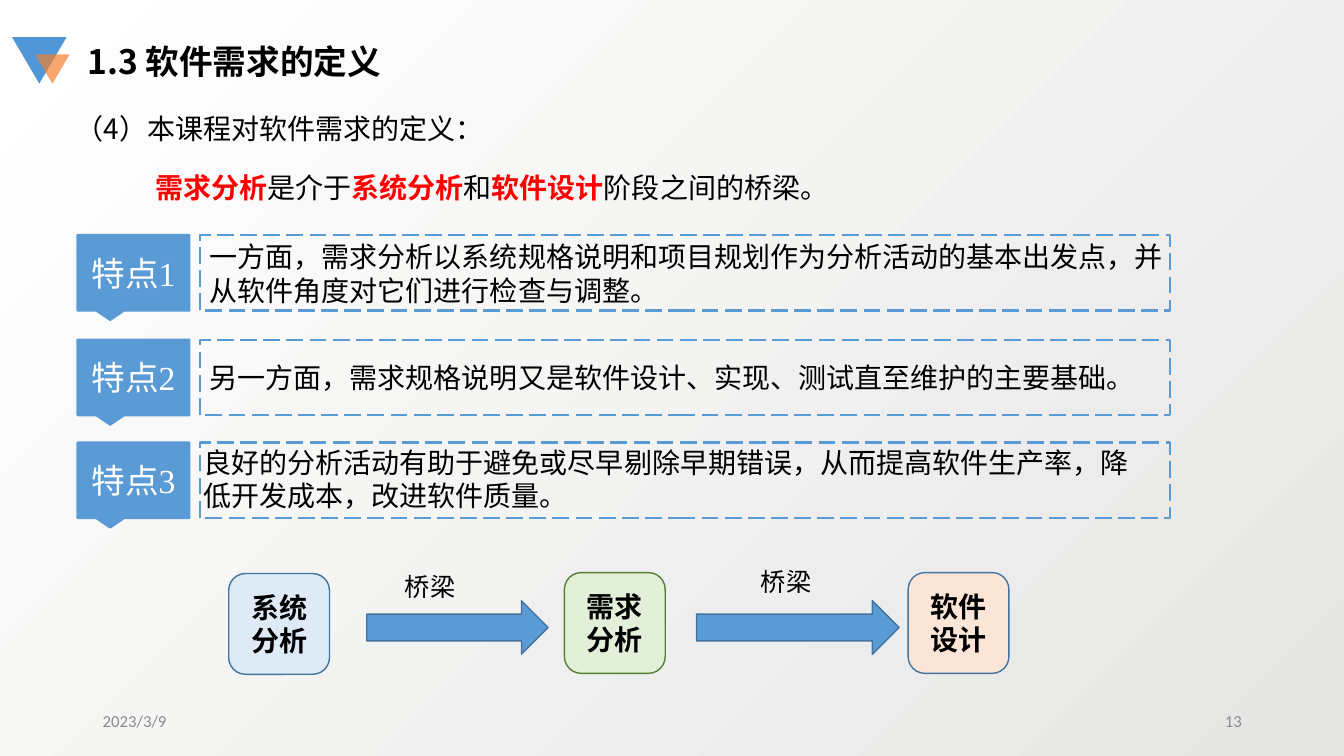
from lxml.etree import SubElement
from pptx import Presentation
from pptx.dml.color import RGBColor
from pptx.enum.dml import MSO_LINE
from pptx.enum.shapes import MSO_SHAPE
from pptx.enum.text import MSO_ANCHOR, MSO_AUTO_SIZE, PP_ALIGN
from pptx.oxml.ns import qn
from pptx.util import Pt

COLORS = {
    "black": "000000", "white": "FFFFFF", "red": "FF0000", "gray": "8C8C8C",
    "shade": "E6E6E5", "blue": "5B9BD5", "navy": "43739E", "green": "538035",
    "logo": "5197D7", "orange": "F37D2A",
    "sky": "DEEBF7", "mint": "E2F0D9", "peach": "FBE5D6",
}
SANS = "Noto Sans CJK SC"
LATIN = "Calibri"
SERIF = "Times New Roman"


def tint(name):
    return RGBColor.from_string(COLORS[name])


class Deck:
    def __init__(self, width, height):
        self.prs = Presentation()
        self.prs.slide_width, self.prs.slide_height = Pt(width), Pt(height)
        self.slide = self.prs.slides.add_slide(self.prs.slide_layouts[1])

    def back(self, start, end, angle):
        fill = self.slide.background.fill
        fill.gradient()
        fill.gradient_angle = angle
        for stop, name in zip(fill.gradient_stops, (start, end)):
            stop.color.rgb = tint(name)

    def face(self, run, size, color="black", bold=False, font=LATIN):
        run.font.size, run.font.bold, run.font.name = Pt(size), bold, font
        run.font.color.rgb = tint(color)
        east = SubElement(run.font._element, qn("a:ea"))
        east.set("typeface", SANS)

    def words(self, shape, text, size, align=PP_ALIGN.LEFT,
              anchor=MSO_ANCHOR.TOP, wrap=True, **style):
        frame = shape.text_frame
        frame.text = text
        frame.word_wrap, frame.vertical_anchor = wrap, anchor
        frame.auto_size = MSO_AUTO_SIZE.NONE
        para = frame.paragraphs[0]
        para.alignment = align
        self.face(para.runs[0], size, **style)
        return para

    def holder(self, index, box, text, size, **style):
        shape = self.slide.placeholders[index]
        shape.left, shape.top, shape.width, shape.height = map(Pt, box)
        para = self.words(shape, text, size, font=SANS, **style)
        props = para._p.get_or_add_pPr()
        props.set("marL", "0")
        props.set("indent", "0")
        SubElement(props, qn("a:buNone"))
        para.space_before = Pt(0)
        return para

    def label(self, box, text, size, **style):
        shape = self.slide.shapes.add_textbox(*map(Pt, box))
        return self.words(shape, text, size, **style)

    def mixed(self, box, parts, size):
        """Sentence whose parts alternate between red bold and plain."""
        para = self.label(box, parts[0], size, color="red", bold=True)
        for place, part in enumerate(parts[1:], 1):
            run = para.add_run()
            run.text = part
            key = place % 2 == 0
            self.face(run, size, "red" if key else "black", key)

    def shape(self, kind, box, fill=None, line=None, weight=1.0, dash=None):
        item = self.slide.shapes.add_shape(kind, *map(Pt, box))
        item.shadow.inherit = False
        if fill:
            item.fill.solid()
            item.fill.fore_color.rgb = tint(fill)
        else:
            item.fill.background()
        if line:
            item.line.color.rgb = tint(line)
            item.line.width = Pt(weight)
            item.line.dash_style = dash
        else:
            item.line.fill.background()
        return item

    def block(self, kind, box, text, size, fill, line, weight=1.0, **style):
        item = self.shape(kind, box, fill, line, weight)
        self.words(item, text, size, PP_ALIGN.CENTER, MSO_ANCHOR.MIDDLE, **style)

    def mark(self, box, fill, alpha=100):
        item = self.shape(MSO_SHAPE.ISOSCELES_TRIANGLE, box, fill)
        item.rotation = 180
        if alpha < 100:
            color = item._element.spPr.find(".//" + qn("a:srgbClr"))
            SubElement(color, qn("a:alpha")).set("val", str(alpha * 1000))


def main():
    deck = Deck(960, 540)
    deck.back("shade", "white", 135)

    # Heading
    deck.mark((8.6, 26.6, 38.9, 33.1), "logo")
    deck.mark((25.2, 38.9, 24.5, 20.9), "orange", 68)
    title = deck.holder(0, (55.4, 28.8, 336, 33), "1.3 软件需求的定义", 24, bold=True)
    title.line_spacing = 0.9
    deck.holder(1, (46.8, 76.3, 674, 31.7), "（4）本课程对软件需求的定义：", 20)
    deck.mixed((103.7, 118, 504, 31.7),
               ["需求分析", "是介于", "系统分析", "和", "软件设计", "阶段之间的桥梁。"], 20)

    # Three features: frame top, then left, top and width of the text
    rows = [
        (167.8, 142.6, 167.8, 712.8,
         "一方面，需求分析以系统规格说明和项目规划作为分析活动的基本出发点，并从软件角度对它们进行检查与调整。"),
        (242.6, 142.6, 254.2, 679.7,
         "另一方面，需求规格说明又是软件设计、实现、测试直至维护的主要基础。"),
        (316.1, 138.2, 314.6, 679.7,
         "良好的分析活动有助于避免或尽早剔除早期错误，从而提高软件生产率，降低开发成本，改进软件质量。"),
    ]
    for number, (top, left, head, width, text) in enumerate(rows, 1):
        deck.shape(MSO_SHAPE.RECTANGLE, (142.6, top, 693.4, 54),
                   line="blue", weight=1.5, dash=MSO_LINE.LONG_DASH)
        deck.label((left, head, width, 55.4), text, 20)
        deck.block(MSO_SHAPE.RECTANGULAR_CALLOUT, (55.4, top, 79.9, 54),
                   f"特点{number}", 24, "blue", "blue", 1.5,
                   color="white", font=SERIF)

    # Stages and the bridges between them
    stages = [
        (163.4, 409.7, "系统分析", "sky", "navy"),
        (403.2, 409, "需求分析", "mint", "green"),
        (648.7, 409, "软件设计", "peach", "navy"),
    ]
    for left, top, text, fill, line in stages:
        deck.block(MSO_SHAPE.ROUNDED_RECTANGLE, (left, top, 72, 72),
                   text, 20, fill, line, bold=True)
    bridges = [(262, 129.6, 282.2, 404.6), (497.5, 144.7, 536.4, 401)]
    for left, width, near, top in bridges:
        deck.shape(MSO_SHAPE.RIGHT_ARROW, (left, 429.1, width, 38.2), "blue", "navy")
        deck.label((near, top, 51, 28.8), "桥梁", 18, wrap=False)

    # Date and page number
    for left, text, align in ((66.2, "2023/3/9", PP_ALIGN.LEFT),
                              (678.2, "13", PP_ALIGN.RIGHT)):
        deck.label((left, 500.4, 216, 28.8), text, 12, align=align,
                   anchor=MSO_ANCHOR.MIDDLE, color="gray")

    deck.prs.save("out.pptx")


if __name__ == "__main__":
    main()
